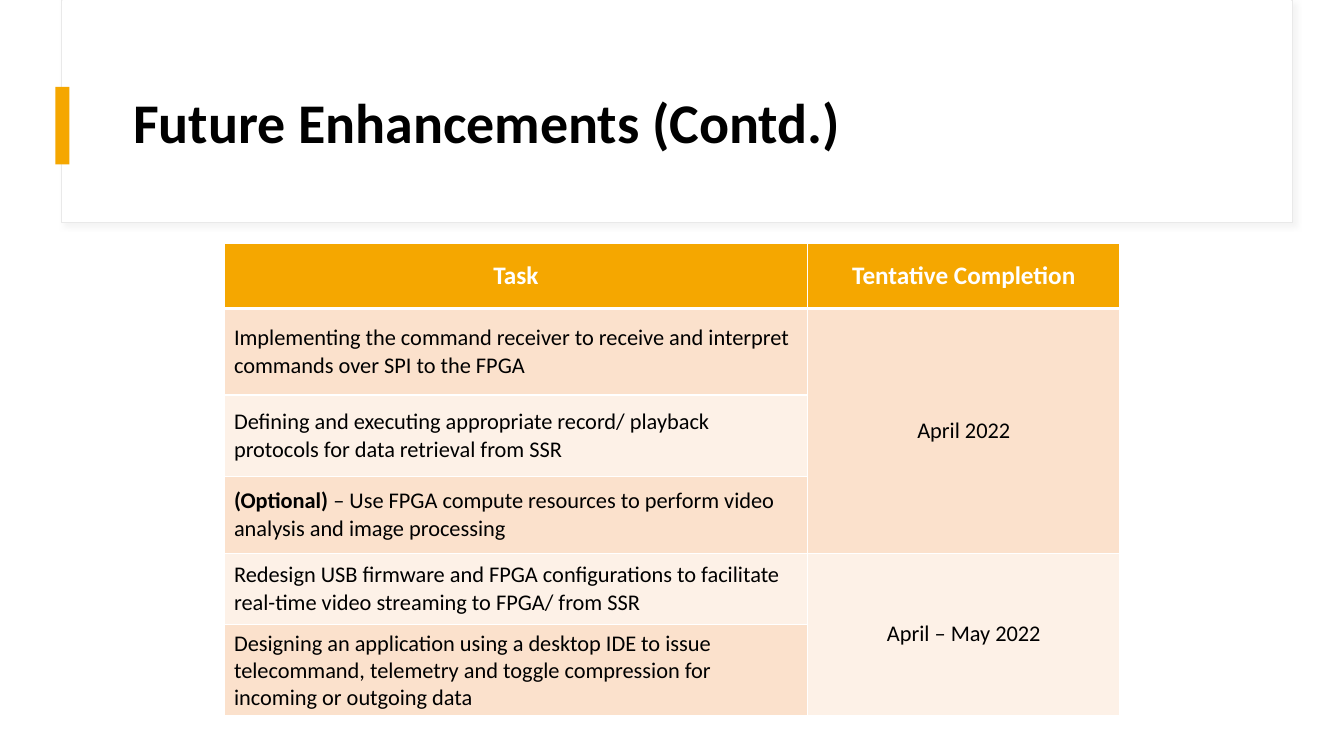
from dataclasses import dataclass

import pptx
import pptx.dml.color
import pptx.enum.shapes
import pptx.enum.text
import pptx.oxml
import pptx.oxml.ns
import pptx.util

Pt = pptx.util.Pt
Align = pptx.enum.text.PP_ALIGN
Anchor = pptx.enum.text.MSO_ANCHOR

FONT = "Calibri"
COLORS = {
    "white": "FFFFFF", "black": "000000", "amber": "F5A700",
    "peach": "FBE1CC", "cream": "FDF1E7", "edge": "E9E9E9", "shade": "D9D9D9",
}


@dataclass
class Box:
    left: float
    top: float
    width: float
    height: float
    fill: str
    line: str = ""


@dataclass
class Run:
    text: str
    bold: bool = False


@dataclass
class Entry:
    row: int
    col: int
    runs: list[Run]
    center: bool = False
    span: int = 1


def color(name: str) -> pptx.dml.color.RGBColor:
    return pptx.dml.color.RGBColor.from_string(COLORS[name])


def make(xml: str):
    """Parse an element in the drawing namespace."""
    head, tail = xml.split(">", 1)
    space = pptx.oxml.ns.nsdecls("a")
    return pptx.oxml.parse_xml(f"{head} {space}>{tail}")


def add_box(slide, box: Box):
    shape = slide.shapes.add_shape(
        pptx.enum.shapes.MSO_SHAPE.RECTANGLE,
        Pt(box.left), Pt(box.top), Pt(box.width), Pt(box.height))
    shape.shadow.inherit = False
    shape.fill.solid()
    shape.fill.fore_color.rgb = color(box.fill)
    if box.line:
        shape.line.color.rgb = color(box.line)
        shape.line.width = Pt(0.75)
    else:
        shape.line.fill.background()
    return shape


def add_shade(shape) -> None:
    effects = shape._element.spPr.find(pptx.oxml.ns.qn("a:effectLst"))
    effects.append(make(
        f'<a:outerShdw blurRad="{Pt(4)}" dist="{Pt(3)}" dir="{45 * 60000}">'
        f'<a:srgbClr val="{COLORS["shade"]}"><a:alpha val="30000"/></a:srgbClr>'
        '</a:outerShdw>'))


def add_runs(para, runs: list[Run], size: float, ink: str) -> None:
    for item in runs:
        run = para.add_run()
        run.text = item.text
        run.font.name = FONT
        run.font.size = Pt(size)
        run.font.bold = item.bold
        run.font.color.rgb = color(ink)


def set_cell(cell, fill: str, top: float, base: float) -> None:
    cell.fill.solid()
    cell.fill.fore_color.rgb = color(fill)
    cell.vertical_anchor = Anchor.MIDDLE
    props = cell._tc.get_or_add_tcPr()
    for spot, (side, width) in enumerate(
            (("L", 1), ("R", 1), ("T", top), ("B", base))):
        props.insert(spot, make(
            f'<a:ln{side} w="{Pt(width)}"><a:solidFill>'
            f'<a:srgbClr val="{COLORS["white"]}"/></a:solidFill></a:ln{side}>'))


def add_table(slide, entries: list[Entry]) -> None:
    cols = (417, 223)
    rows = (46.8, 61.9, 58.3, 54.7, 51.1, 61.2)
    table = slide.shapes.add_table(
        len(rows), len(cols), Pt(160), Pt(173.5),
        Pt(sum(cols)), Pt(sum(rows))).table
    for col, width in zip(table.columns, cols):
        col.width = Pt(width)
    for row, height in zip(table.rows, rows):
        row.height = Pt(height)

    # Amber header, then alternating bands
    for row in range(len(rows)):
        fill = "amber" if row == 0 else ("cream", "peach")[row % 2]
        for col in range(len(cols)):
            set_cell(table.cell(row, col), fill,
                     3 if row == 1 else 1, 3 if row == 0 else 1)

    for entry in entries:
        cell = table.cell(entry.row, entry.col)
        if entry.span > 1:
            cell.merge(table.cell(entry.row + entry.span - 1, entry.col))
        para = cell.text_frame.paragraphs[0]
        para.alignment = Align.CENTER if entry.center else Align.LEFT
        size, ink = (18, "white") if entry.row == 0 else (16, "black")
        add_runs(para, entry.runs, size, ink)


deck = pptx.Presentation()
deck.slide_width, deck.slide_height = Pt(960), Pt(540)
slide = deck.slides.add_slide(deck.slide_layouts[6])

# Title panel and accent bar
add_shade(add_box(slide, Box(44, 0, 879, 159, "white", "edge")))
add_box(slide, Box(44.5, 0, 878, 158.5, "white"))
add_box(slide, Box(39.5, 62, 10, 55.5, "amber"))

# Title
frame = slide.shapes.add_textbox(Pt(88), Pt(43), Pt(800), Pt(93)).text_frame
frame.word_wrap = True
frame.vertical_anchor = Anchor.MIDDLE
title = frame.paragraphs[0]
title.line_spacing = 0.9
add_runs(title, [Run("Future Enhancements (Contd.)", True)], 40, "black")

# Schedule
tasks = [
    [Run("Implementing the command receiver to receive and interpret "
         "commands over SPI to the FPGA")],
    [Run("Defining and executing appropriate record/ playback protocols "
         "for data retrieval from SSR")],
    [Run("(Optional) ", True),
     Run("– Use FPGA compute resources to perform video analysis "
         "and image processing")],
    [Run("Redesign USB firmware and FPGA configurations to facilitate "
         "real-time video streaming to FPGA/ from SSR")],
    [Run("Designing an application using a desktop IDE to issue "
         "telecommand, telemetry and toggle compression for incoming "
         "or outgoing data")],
]
add_table(slide, [
    Entry(0, 0, [Run("Task", True)], center=True),
    Entry(0, 1, [Run("Tentative Completion", True)], center=True),
    *(Entry(row, 0, runs) for row, runs in enumerate(tasks, 1)),
    Entry(1, 1, [Run("April 2022")], center=True, span=3),
    Entry(4, 1, [Run("April – May 2022")], center=True, span=2),
])

deck.save("out.pptx")
